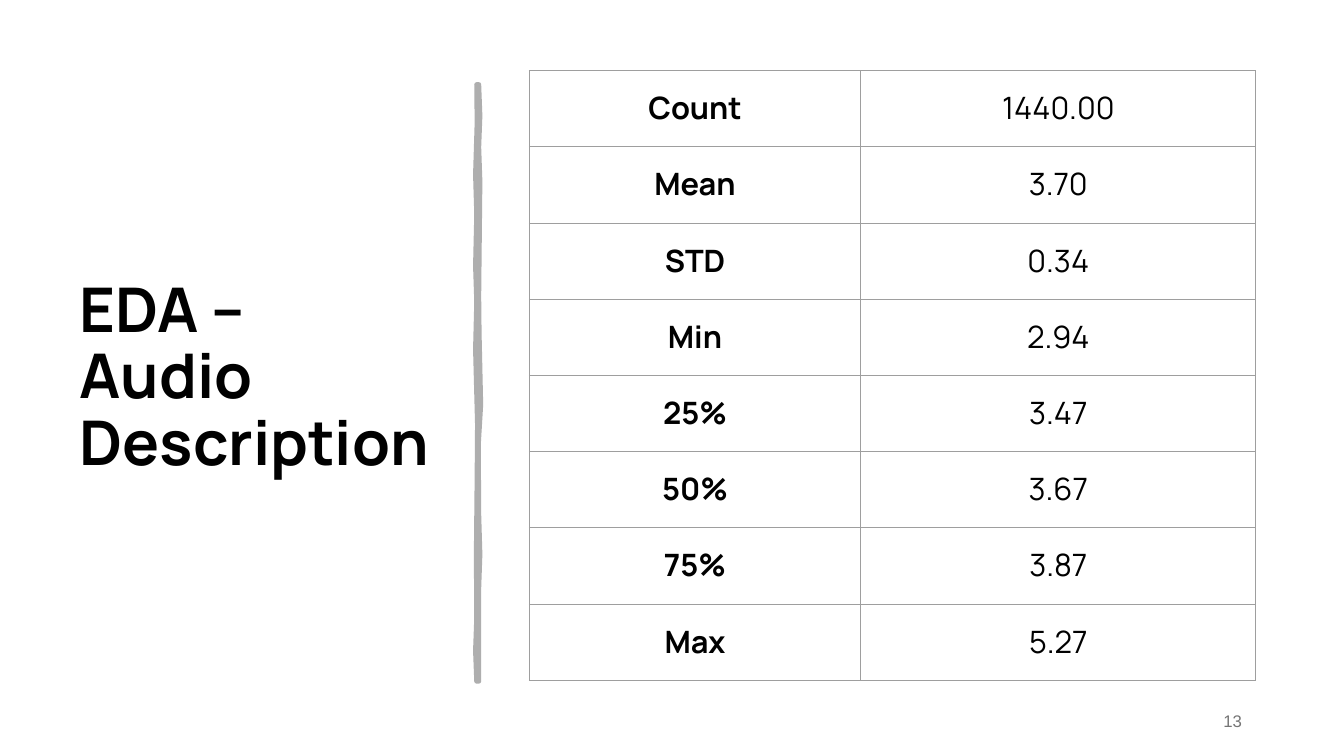
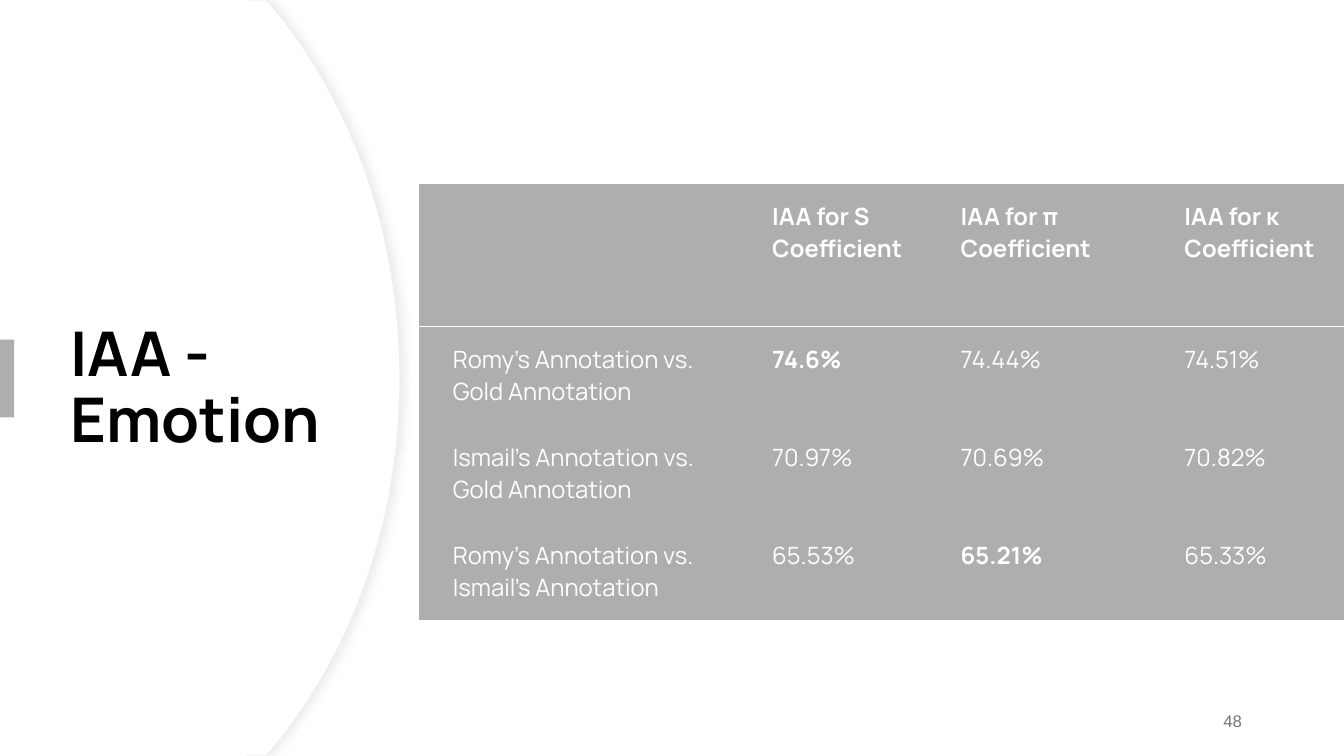
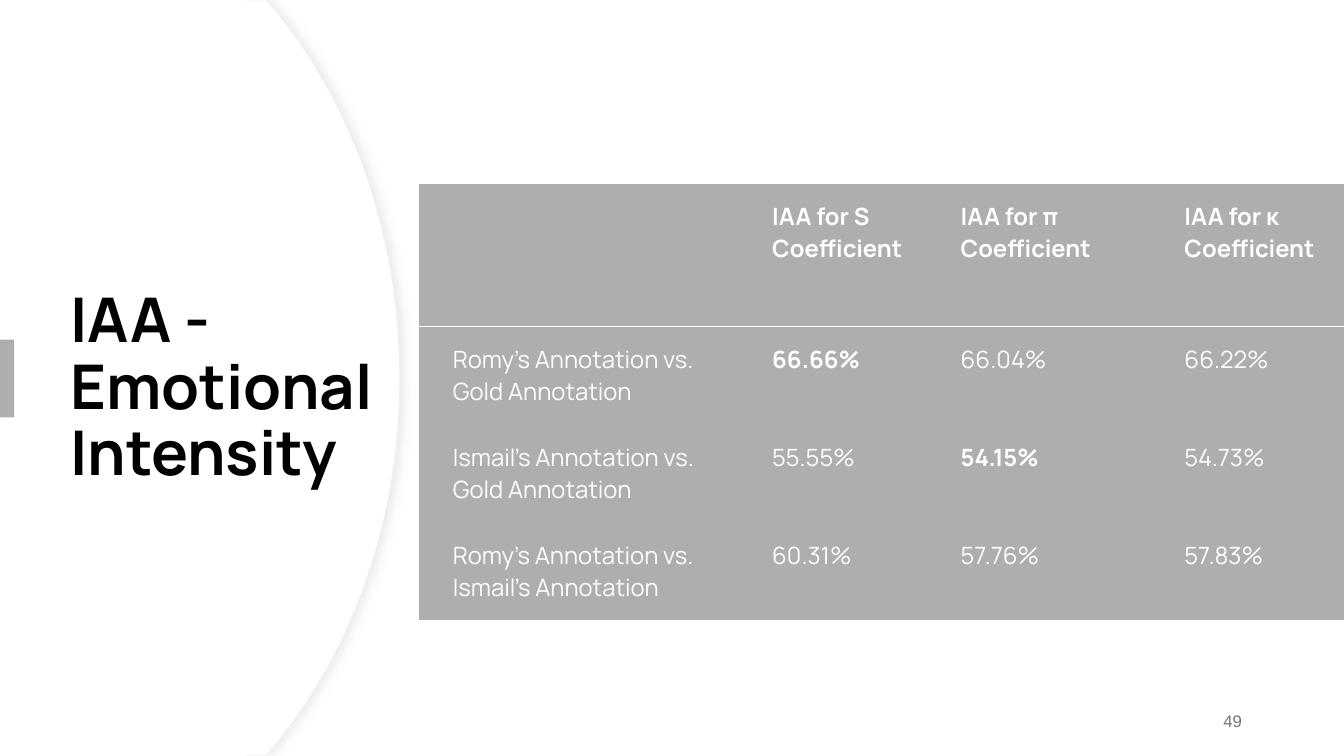
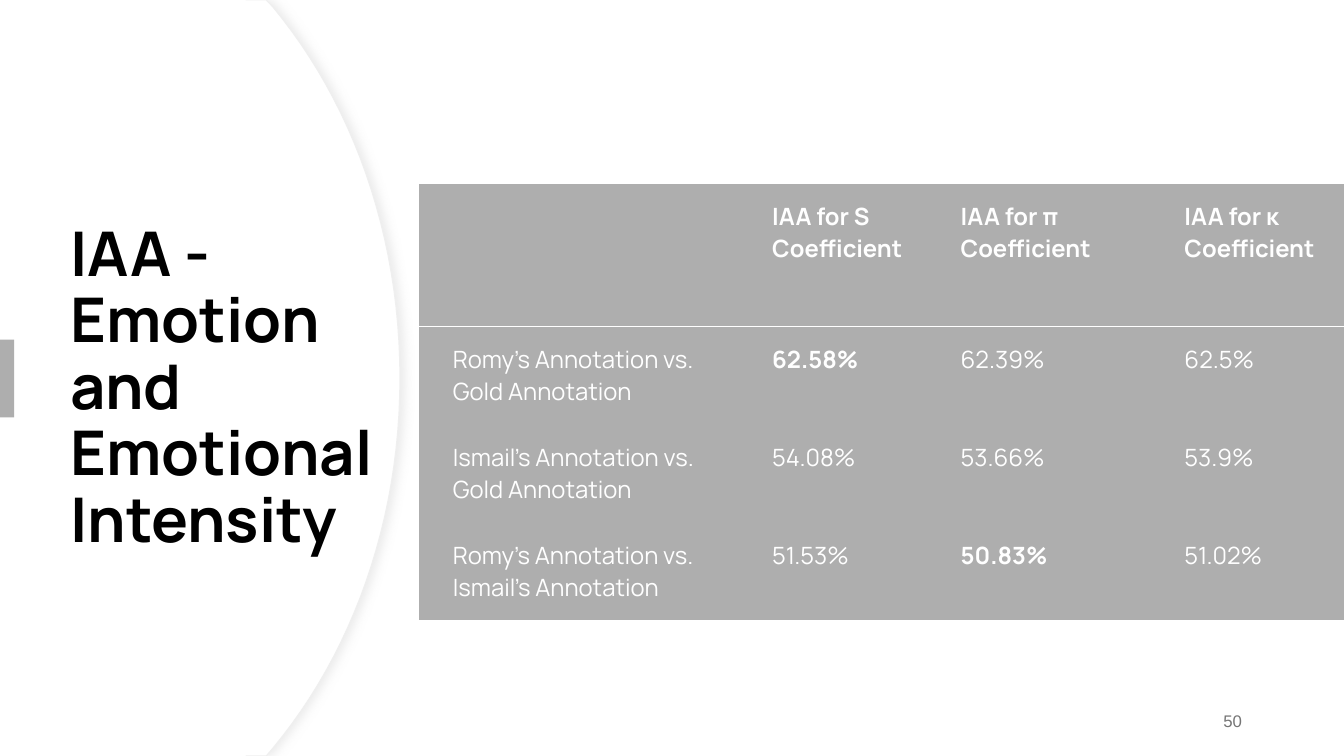
"""Build four slides on audio statistics and inter-annotator agreement."""
from dataclasses import dataclass

from lxml.etree import SubElement
from pptx import Presentation
from pptx.dml.color import RGBColor
from pptx.enum.shapes import MSO_SHAPE
from pptx.enum.text import MSO_ANCHOR, MSO_AUTO_SIZE, PP_ALIGN
from pptx.oxml.ns import qn
from pptx.util import Cm, Pt


@dataclass(frozen=True)
class Theme:
    font: str = "Manrope"
    number_font: str = "Arial"
    black: str = "000000"
    white: str = "FFFFFF"
    gray: str = "AEAEAE"
    grid: str = "9E9E9E"
    disc_edge: str = "EFEFEF"
    disc_shadow: str = "D8D8D8"
    number: str = "757575"
    title_size: int = 44
    statistic_size: int = 22
    agreement_size: int = 17
    number_size: int = 12
    thin: float = 0.75
    brush: float = 3.25


THEME = Theme()

STATISTICS = [
    ("Count", "1440.00"), ("Mean", "3.70"), ("STD", "0.34"), ("Min", "2.94"),
    ("25%", "3.47"), ("50%", "3.67"), ("75%", "3.87"), ("Max", "5.27"),
]
AUDIO_TITLE = ["EDA –", "Audio", "Description"]
AUDIO_NUMBER = 13

HEADINGS = ["", "IAA for S Coefficient", "IAA for π Coefficient", "IAA for κ Coefficient"]
PAIRS = [
    "Romy’s Annotation vs. Gold Annotation",
    "Ismail’s Annotation vs. Gold Annotation",
    "Romy’s Annotation vs. Ismail’s Annotation",
]
AGREEMENTS = [
    {"title": ["IAA -", "Emotion"], "number": 48, "title_width": 11.4,
     "values": [("74.6%", "74.44%", "74.51%"),
                ("70.97%", "70.69%", "70.82%"),
                ("65.53%", "65.21%", "65.33%")],
     "bold": {"74.6%", "65.21%"}},
    {"title": ["IAA -", "Emotional Intensity"], "number": 49, "title_width": 11.4,
     "values": [("66.66%", "66.04%", "66.22%"),
                ("55.55%", "54.15%", "54.73%"),
                ("60.31%", "57.76%", "57.83%")],
     "bold": {"66.66%", "54.15%"}},
    {"title": ["IAA -", "Emotion and Emotional Intensity"], "number": 50, "title_width": 8.56,
     "values": [("62.58%", "62.39%", "62.5%"),
                ("54.08%", "53.66%", "53.9%"),
                ("51.53%", "50.83%", "51.02%")],
     "bold": {"62.58%", "50.83%"}},
]

BRUSH_EDGES = [
    (12.07, 2.13), (12.1, 2.92), (12.07, 3.71), (12.1, 4.57), (12.07, 7.47),
    (12.08, 8.4), (12.12, 10.2), (12.06, 11.2), (12.07, 12.95), (12.1, 13.97),
    (12.07, 14.83), (12.07, 17.17), (12.01, 17.17), (11.98, 16.4),
    (12.01, 15.57), (12.0, 14.0), (12.02, 12.0), (12.03, 10.7), (11.98, 8.8),
    (12.01, 7.6), (11.98, 6.7), (12.01, 5.4), (11.98, 4.4), (12.02, 3.1),
    (12.01, 2.13),
]
DISC_LEFT, DISC_SHIFT = -3.3, 0.53
DISC_CORNER = (6.71, 0)
DISC_CURVES = [
    [(6.88, 0.18), (8.86, 2.57), (10.08, 5.87), (10.08, 9.53)],
    [(10.08, 9.53), (10.08, 13.17), (8.86, 16.47), (6.88, 18.85)],
]
SLIDE_WIDTH, SLIDE_HEIGHT = 33.87, 19.05


def rgb(color):
    return RGBColor.from_string(color)


def set_font(paragraph, size, color, bold=False, name=THEME.font):
    font = paragraph.font
    font.name, font.size, font.bold = name, Pt(size), bold
    font.color.rgb = rgb(color)


def paint(shape, fill, line=None, width=THEME.thin):
    shape.shadow.inherit = False
    shape.fill.solid()
    shape.fill.fore_color.rgb = rgb(fill)
    if line:
        shape.line.color.rgb = rgb(line)
        shape.line.width = Pt(width)
    else:
        shape.line.fill.background()


def add_outline(slide, points):
    corners = [(Cm(x), Cm(y)) for x, y in points]
    builder = slide.shapes.build_freeform(*corners[0])
    builder.add_line_segments(corners[1:], close=True)
    return builder.convert_to_shape()


def curve_points(controls, steps=24):
    for step in range(steps + 1):
        t = step / steps
        weights = ((1 - t) ** 3, 3 * t * (1 - t) ** 2, 3 * t * t * (1 - t), t ** 3)
        yield tuple(sum(w * point[axis] for w, point in zip(weights, controls))
                    for axis in (0, 1))


def add_shadow(shape):
    effects = shape._element.spPr.find(qn("a:effectLst"))
    shadow = SubElement(effects, qn("a:outerShdw"), blurRad=str(Pt(7)), dist=str(Pt(3)),
                        dir="0", algn="l", rotWithShape="0")
    color = SubElement(shadow, qn("a:srgbClr"), val=THEME.disc_shadow)
    SubElement(color, qn("a:alpha"), val="50000")


def add_discs(slide):
    right = [point for curve in DISC_CURVES for point in curve_points(curve)]
    x, y = DISC_CORNER
    bottom = SLIDE_HEIGHT
    outline = [(DISC_LEFT, y), (x, y), *right, (x, bottom), (DISC_LEFT, bottom)]
    outer = add_outline(slide, outline)
    paint(outer, THEME.white, THEME.disc_edge)
    add_shadow(outer)
    inner = add_outline(slide, [(px - DISC_SHIFT, py) for px, py in outline])
    paint(inner, THEME.white)


def start_slide(presentation, number):
    slide = presentation.slides.add_slide(presentation.slide_layouts[5])
    box = slide.shapes.add_textbox(Cm(23.93), Cm(17.65), Cm(7.62), Cm(1.02))
    frame = box.text_frame
    frame.word_wrap = True
    frame.vertical_anchor = MSO_ANCHOR.MIDDLE
    paragraph = frame.paragraphs[0]
    paragraph.text = str(number)
    paragraph.alignment = PP_ALIGN.RIGHT
    set_font(paragraph, THEME.number_size, THEME.number, name=THEME.number_font)
    return slide


def set_title(slide, lines, left, top, width, height):
    title = slide.shapes.title
    title.left, title.top, title.width, title.height = map(Cm, (left, top, width, height))
    frame = title.text_frame
    frame.word_wrap = True
    frame.auto_size = MSO_AUTO_SIZE.NONE
    frame.vertical_anchor = MSO_ANCHOR.MIDDLE
    frame.text = "\n".join(lines)
    for paragraph in frame.paragraphs:
        paragraph.alignment = PP_ALIGN.LEFT
        paragraph.line_spacing = 0.9
        set_font(paragraph, THEME.title_size, THEME.black, bold=True)


def set_borders(cell, color, edges):
    properties = cell._tc.get_or_add_tcPr()
    for edge in "LRTB":
        line = SubElement(properties, qn(f"a:ln{edge}"), w=str(Pt(THEME.thin)))
        if edge in edges:
            fill = SubElement(line, qn("a:solidFill"))
            SubElement(fill, qn("a:srgbClr"), val=color)
        else:
            SubElement(line, qn("a:noFill"))


def add_grid(slide, rows, left, top, widths, heights):
    frame = slide.shapes.add_table(len(rows), len(widths), Cm(left), Cm(top),
                                   Cm(sum(widths)), Cm(sum(heights)))
    table = frame.table
    table.first_row = table.horz_banding = False
    for column, width in zip(table.columns, widths):
        column.width = Cm(width)
    for row, height in zip(table.rows, heights):
        row.height = Cm(height)
    for r, texts in enumerate(rows):
        for c, text in enumerate(texts):
            yield r, c, text, table.cell(r, c)


def fill_cell(cell, text, size, color, fill, bold, side_margins, border, edges):
    cell.margin_left, cell.margin_right = map(Cm, side_margins)
    cell.margin_top = cell.margin_bottom = Cm(0.41)
    set_borders(cell, border, edges)
    cell.fill.solid()
    cell.fill.fore_color.rgb = rgb(fill)
    paragraph = cell.text_frame.paragraphs[0]
    paragraph.text = text
    set_font(paragraph, size, color, bold)
    return paragraph


def add_audio_slide(presentation):
    slide = start_slide(presentation, AUDIO_NUMBER)
    set_title(slide, AUDIO_TITLE, 1.75, 1.78, 9.5, 15.52)
    paint(add_outline(slide, BRUSH_EDGES), THEME.gray, THEME.gray, THEME.brush)
    heights = [1.92] * len(STATISTICS)
    for _, c, text, cell in add_grid(slide, STATISTICS, 13.34, 1.78, [8.35, 9.96], heights):
        paragraph = fill_cell(cell, text, THEME.statistic_size, THEME.black, THEME.white,
                              c == 0, (0.41, 0.41), THEME.grid, "LRTB")
        paragraph.alignment = PP_ALIGN.CENTER


def add_agreement_slide(presentation, agreement):
    slide = start_slide(presentation, agreement["number"])
    add_discs(slide)
    set_title(slide, agreement["title"], 1.52, 3.53, agreement["title_width"], 12.57)
    title = slide.shapes.title
    slide.shapes._spTree.append(title._element)
    tab = slide.shapes.add_shape(MSO_SHAPE.RECTANGLE, 0, Cm(8.56), Cm(0.36), Cm(1.96))
    paint(tab, THEME.gray)
    rows = [HEADINGS] + [[pair, *values] for pair, values in zip(PAIRS, agreement["values"])]
    edges = ["TB", "T", "", "B"]
    widths, heights = [8.05, 4.75, 5.64, 4.85], [3.6, 2.47, 2.47, 2.47]
    for r, _, text, cell in add_grid(slide, rows, 10.57, 4.63, widths, heights):
        fill_cell(cell, text, THEME.agreement_size, THEME.white, THEME.gray,
                  r == 0 or text in agreement["bold"], (0.84, 0.63), THEME.white, edges[r])


def main():
    presentation = Presentation()
    presentation.slide_width, presentation.slide_height = Cm(SLIDE_WIDTH), Cm(SLIDE_HEIGHT)
    add_audio_slide(presentation)
    for agreement in AGREEMENTS:
        add_agreement_slide(presentation, agreement)
    presentation.save("out.pptx")


if __name__ == "__main__":
    main()
